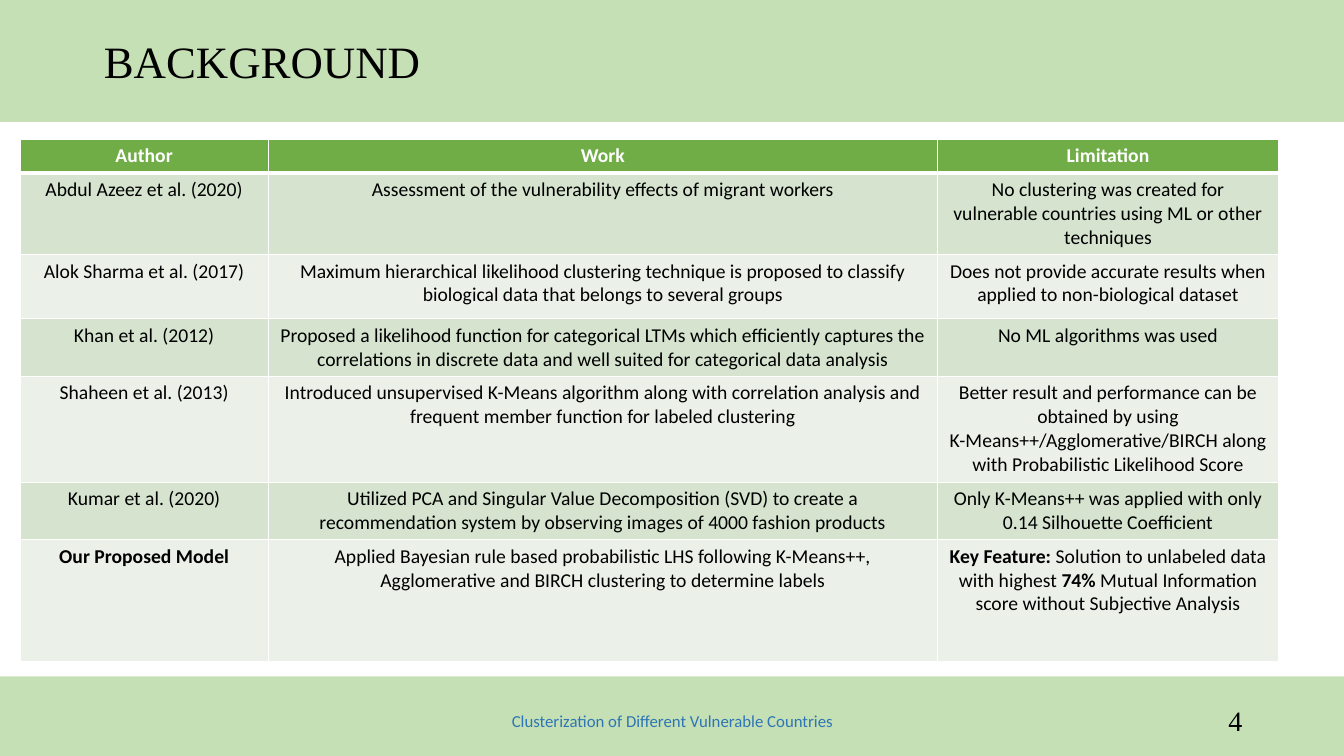
from lxml import etree
from pptx import Presentation
from pptx import util as u
from pptx.dml.color import RGBColor
from pptx.enum import shapes, text
from pptx.oxml.ns import qn

BAND = RGBColor(0xC5, 0xE0, 0xB4)
HEADER = RGBColor(0x70, 0xAD, 0x47)
ROW_DARK = RGBColor(0xD5, 0xE3, 0xCF)
ROW_LIGHT = RGBColor(0xEB, 0xF1, 0xE9)
BLUE = RGBColor(0x2E, 0x75, 0xB6)
BLACK = RGBColor(0, 0, 0)
WHITE = RGBColor(0xFF, 0xFF, 0xFF)
SERIF, SANS = "Times New Roman", "Calibri"


def add_run(p, words, size, font, color, bold=False):
    r = p.add_run()
    r.text = words
    r.font.size = u.Pt(size)
    r.font.name = font
    r.font.bold = bold
    r.font.color.rgb = color


def add_border(cell, side, width):
    ln = etree.SubElement(cell._tc.get_or_add_tcPr(), qn(f"a:ln{side}"), w=str(u.Pt(width)))
    fill = etree.SubElement(ln, qn("a:solidFill"))
    etree.SubElement(fill, qn("a:srgbClr"), val=str(WHITE))


prs = Presentation()
prs.slide_width, prs.slide_height = u.Inches(13.33), u.Inches(7.5)
s = prs.slides.add_slide(prs.slide_layouts[5])

# Title on the top band
title = s.shapes.title
title.left, title.top = u.Inches(0), u.Inches(0)
title.width, title.height = u.Inches(13.33), u.Inches(1.21)
title.fill.solid()
title.fill.fore_color.rgb = BAND
tf = title.text_frame
tf.auto_size = text.MSO_AUTO_SIZE.NONE
tf.vertical_anchor = text.MSO_ANCHOR.MIDDLE
tf.margin_left = u.Inches(1.03)
p = tf.paragraphs[0]
p.alignment = text.PP_ALIGN.LEFT
add_run(p, "BACKGROUND", 32, SERIF, BLACK)

# Bottom band
band = s.shapes.add_shape(shapes.MSO_SHAPE.RECTANGLE, u.Inches(0), u.Inches(6.71),
                          u.Inches(13.33), u.Inches(0.82))
band.shadow.inherit = False
band.fill.solid()
band.fill.fore_color.rgb = BAND
band.line.fill.background()

# Slide number and footer
for left, width, align, words, size, font, color in [
    (9.42, 3, text.PP_ALIGN.RIGHT, "4", 20, SERIF, BLACK),
    (4.42, 4.5, text.PP_ALIGN.CENTER,
     "Clusterization of Different Vulnerable Countries", 12, SANS, BLUE),
]:
    sp = s.shapes.add_textbox(u.Inches(left), u.Inches(6.95), u.Inches(width), u.Inches(0.4))
    tf = sp.text_frame
    tf.word_wrap = True
    tf.vertical_anchor = text.MSO_ANCHOR.MIDDLE
    p = tf.paragraphs[0]
    p.alignment = align
    add_run(p, words, size, font, color)

# Literature table: pieces between "**" marks are bold
rows = [
    ("**Author**", "**Work**", "**Limitation**"),
    ("Abdul Azeez et al. (2020)",
     "Assessment of the vulnerability effects of migrant workers",
     "No clustering was created for vulnerable countries using ML or other techniques"),
    ("Alok Sharma et al. (2017)",
     "Maximum hierarchical likelihood clustering technique is proposed to classify "
     "biological data that belongs to several groups",
     "Does not provide accurate results when applied to non-biological dataset"),
    ("Khan et al. (2012)",
     "Proposed a likelihood function for categorical LTMs which efficiently captures the "
     "correlations in discrete data and well suited for categorical data analysis",
     "No ML algorithms was used"),
    ("Shaheen et al. (2013)",
     "Introduced unsupervised K-Means algorithm along with correlation analysis and "
     "frequent member function for labeled clustering",
     "Better result and performance can be obtained by using "
     "K-Means++/Agglomerative/BIRCH along with Probabilistic Likelihood Score"),
    ("Kumar et al. (2020)",
     "Utilized PCA and Singular Value Decomposition (SVD) to create a "
     "recommendation system by observing images of 4000 fashion products",
     "Only K-Means++ was applied with only 0.14 Silhouette Coefficient"),
    ("**Our Proposed Model**",
     "Applied Bayesian rule based probabilistic LHS following K-Means++, "
     "Agglomerative and BIRCH clustering to determine labels",
     "**Key Feature: **Solution to unlabeled data with highest **74%** "
     "Mutual Information score without Subjective Analysis"),
]
col_widths = [2.46, 6.64, 3.38]
row_heights = [0.33, 0.81, 0.64, 0.57, 1.05, 0.57, 1.21]
table = s.shapes.add_table(len(rows), len(col_widths), u.Inches(0.2), u.Inches(1.38),
                           u.Inches(sum(col_widths)), u.Inches(sum(row_heights))).table
for col, width in zip(table.columns, col_widths):
    col.width = u.Inches(width)
for row, height in zip(table.rows, row_heights):
    row.height = u.Inches(height)

for i, row in enumerate(rows):
    fill = HEADER if i == 0 else ROW_DARK if i % 2 else ROW_LIGHT
    for j, words in enumerate(row):
        cell = table.cell(i, j)
        for side in "LRTB":
            under_header = (i, side) in [(0, "B"), (1, "T")]
            add_border(cell, side, 3 if under_header else 1)
        cell.fill.solid()
        cell.fill.fore_color.rgb = fill
        p = cell.text_frame.paragraphs[0]
        p.alignment = text.PP_ALIGN.CENTER
        for k, piece in enumerate(words.split("**")):
            if piece:
                add_run(p, piece, 14, SANS, BLACK if i else WHITE, bold=k % 2 == 1)

prs.save("out.pptx")
